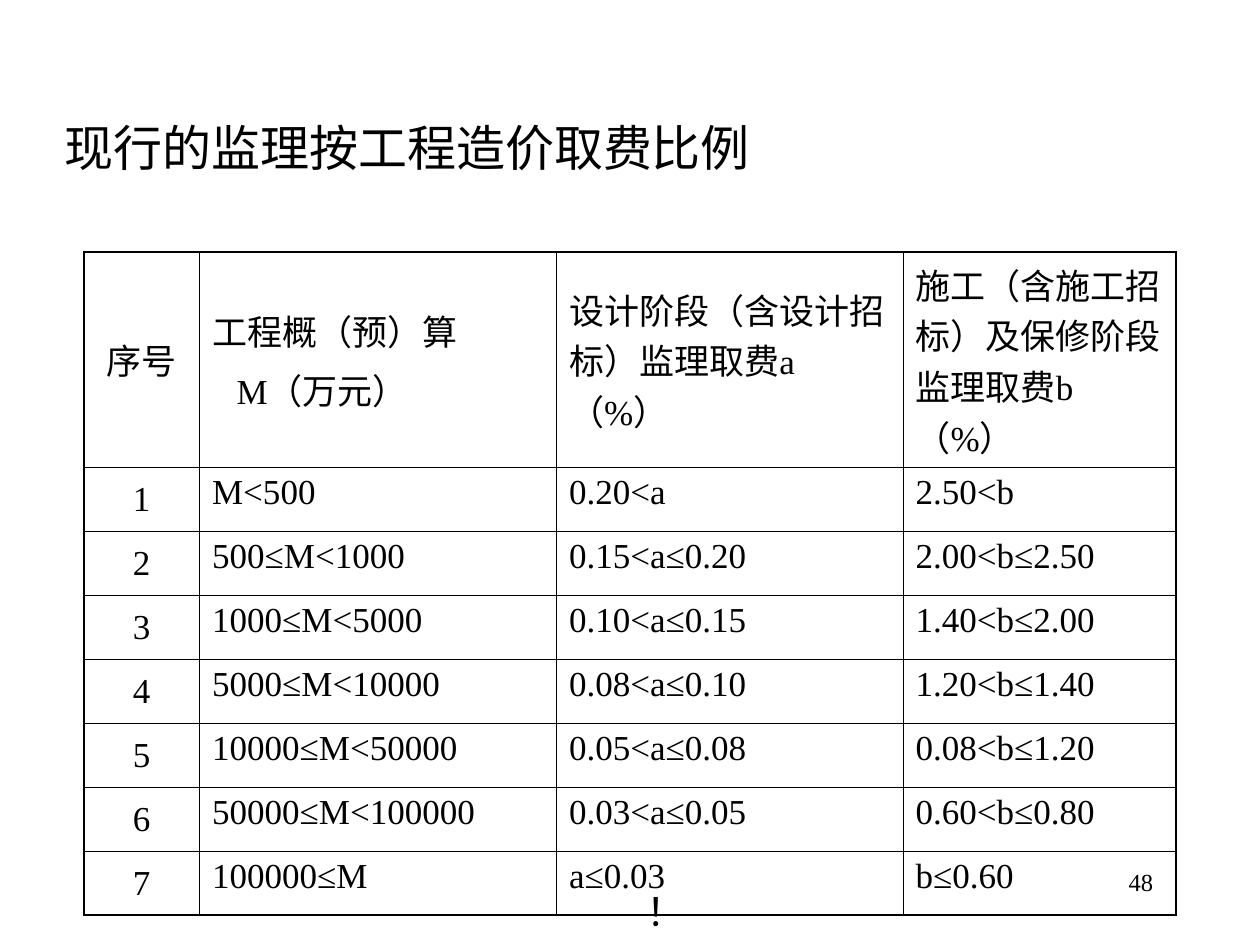
"""Build the slide on supervision fee rates by project cost."""
from itertools import groupby

from lxml import etree
from pptx import Presentation
from pptx.dml.color import RGBColor
from pptx.enum import text
from pptx.oxml import ns
from pptx.util import Pt

BLACK = RGBColor(0, 0, 0)
LATIN, CJK = "Times New Roman", "Noto Sans CJK SC"
THIN, THICK = 0.45, 1.08
CENTER, RIGHT = text.PP_ALIGN.CENTER, text.PP_ALIGN.RIGHT
MIDDLE, TOP = text.MSO_ANCHOR.MIDDLE, text.MSO_ANCHOR.TOP

TEXTS = [
    dict(words="现行的监理按工程造价取费比例", box=(30, 60, 462, 48), size=28, anchor=MIDDLE),
    dict(words="！", box=(30, 504, 654, 36), size=22.2, indent=332.5),
]
PAGE_NUMBER = dict(words="48", box=(516, 492, 150, 36), size=14, align=RIGHT)
HEADER = [
    ["序号"],
    ["工程概（预）算", "M（万元）"],
    ["设计阶段（含设计招标）监理取费a（%）"],
    ["施工（含施工招标）及保修阶段监理取费b（%）"],
]
RATES = [
    ("M<500", "0.20<a", "2.50<b"),
    ("500≤M<1000", "0.15<a≤0.20", "2.00<b≤2.50"),
    ("1000≤M<5000", "0.10<a≤0.15", "1.40<b≤2.00"),
    ("5000≤M<10000", "0.08<a≤0.10", "1.20<b≤1.40"),
    ("10000≤M<50000", "0.05<a≤0.08", "0.08<b≤1.20"),
    ("50000≤M<100000", "0.03<a≤0.05", "0.60<b≤0.80"),
    ("100000≤M", "a≤0.03", "b≤0.60"),
]
COLUMNS = (66, 204, 198, 156)
HEADER_HEIGHT, ROW_HEIGHT = 123, 36.57
TABLE_LEFT, TABLE_TOP = 48, 144
CELL_SIZE, CELL_SPACE, SECOND_LINE_INDENT = 20, 5, 14


def is_latin(char):
    return char.isascii() or char == "≤"


def add_run(p, words, size, font):
    r = p.add_run()
    r.text = words
    for name, value in dict(name=font, size=Pt(size), bold=False).items():
        setattr(r.font, name, value)
    r.font.color.rgb = BLACK
    ea = etree.SubElement(r._r.get_or_add_rPr(), ns.qn("a:ea"))
    ea.set("typeface", CJK)


def indent_paragraph(p, indent):
    p._p.get_or_add_pPr().set("marL", str(Pt(indent)))
    p._p.get_or_add_pPr().set("indent", "0")


def add_text(s, words, box, size, anchor=TOP, align=None, indent=0):
    tf = s.shapes.add_textbox(*map(Pt, box)).text_frame
    tf.word_wrap = True
    tf.vertical_anchor = anchor
    p = tf.paragraphs[0]
    p.alignment = align
    indent_paragraph(p, indent)
    add_run(p, words, size, LATIN)


def set_border(cell, side, width):
    ln = etree.SubElement(cell._tc.get_or_add_tcPr(), ns.qn(f"a:ln{side}"), w=str(Pt(width)))
    fill = etree.SubElement(ln, ns.qn("a:solidFill"))
    etree.SubElement(fill, ns.qn("a:srgbClr"), val=str(BLACK))


def fill_cell(cell, lines, centered):
    tf = cell.text_frame
    for i, line in enumerate(lines):
        p = tf.add_paragraph() if i else tf.paragraphs[0]
        if i:
            p.space_before = Pt(CELL_SPACE)
            indent_paragraph(p, SECOND_LINE_INDENT)
        if centered:
            p.alignment = CENTER
        for latin, chars in groupby(line, is_latin):
            add_run(p, "".join(chars), CELL_SIZE, LATIN if latin else CJK)


def add_rate_table(s):
    rows = [HEADER] + [[[str(n)]] + [[v] for v in rate] for n, rate in enumerate(RATES, 1)]
    heights = [HEADER_HEIGHT] + [ROW_HEIGHT] * len(RATES)
    size = len(rows), len(COLUMNS)
    frame = (TABLE_LEFT, TABLE_TOP, sum(COLUMNS), sum(heights))
    table = s.shapes.add_table(*size, *map(Pt, frame)).table
    table.first_row = table.horz_banding = False
    for column, width in zip(table.columns, COLUMNS):
        column.width = Pt(width)
    for i, (row, height) in enumerate(zip(rows, heights)):
        table.rows[i].height = Pt(height)
        for j, lines in enumerate(row):
            cell = table.cell(i, j)
            cell.vertical_anchor = MIDDLE if i == 0 or j == 0 else TOP
            fill_cell(cell, lines, j == 0)
            outer = dict(L=j == 0, R=j == size[1] - 1, T=i == 0, B=i == size[0] - 1)
            for side, is_outer in outer.items():
                set_border(cell, side, THICK if is_outer else THIN)
            cell.fill.background()


def main():
    prs = Presentation()
    prs.slide_width, prs.slide_height = Pt(720), Pt(540)
    s = prs.slides.add_slide(prs.slide_layouts[6])
    for item in TEXTS:
        add_text(s, **item)
    add_rate_table(s)
    add_text(s, **PAGE_NUMBER)
    prs.save("out.pptx")


if __name__ == "__main__":
    main()
